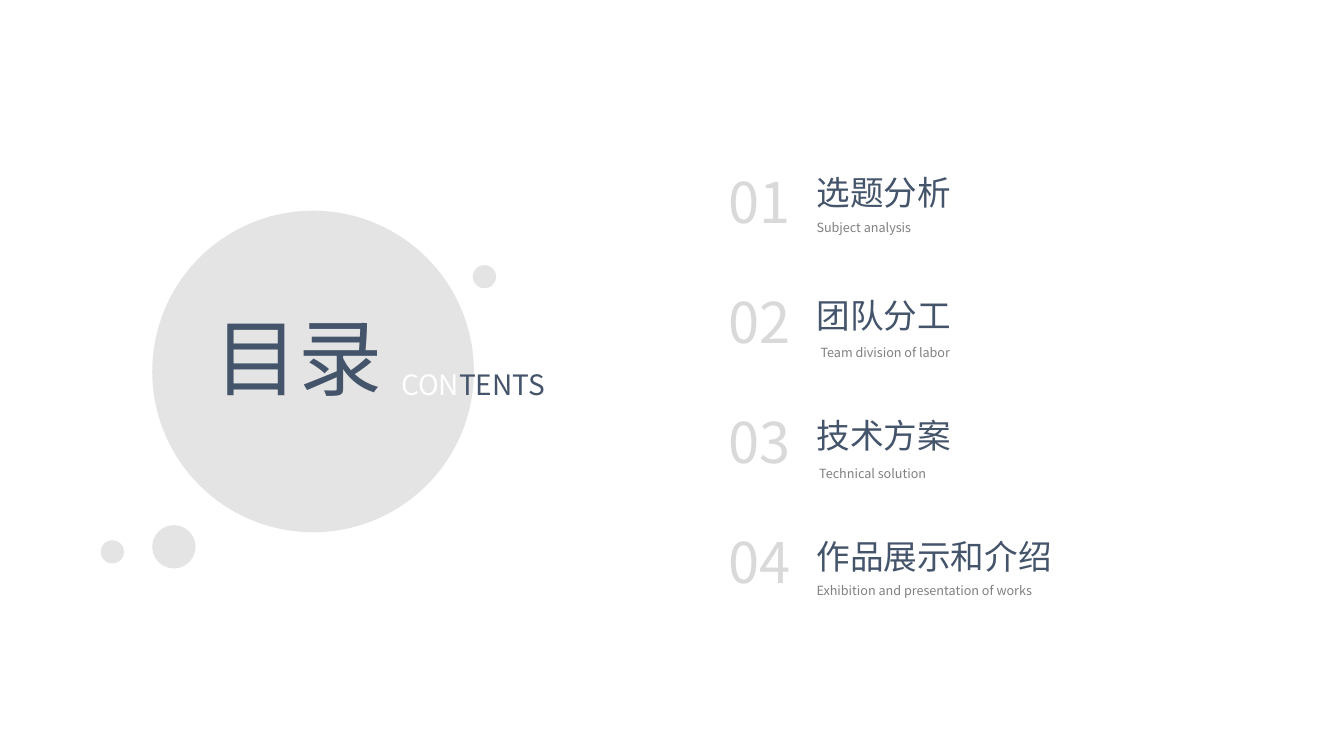
from dataclasses import dataclass

from lxml.etree import SubElement
from pptx import Presentation
from pptx.dml.color import RGBColor
from pptx.enum.shapes import MSO_SHAPE
from pptx.enum.text import MSO_ANCHOR, MSO_AUTO_SIZE, PP_ALIGN
from pptx.oxml.ns import qn
from pptx.shapes.autoshape import Shape
from pptx.slide import Slide
from pptx.util import Inches, Pt

FONT = "Noto Sans CJK SC"
COLORS = {"navy": "44546A", "silver": "D9D9D9", "gray": "808080", "white": "FFFFFF"}
NUMBER_TOP = 1.61
NUMBER_PITCH = 1.19


@dataclass(frozen=True)
class Box:
    left: float
    top: float
    width: float
    height: float


@dataclass(frozen=True)
class Bubble:
    left: float
    top: float
    diameter: float


@dataclass(frozen=True)
class Words:
    text: str
    color: str


@dataclass(frozen=True)
class Chapter:
    heading: str
    heading_box: Box
    caption: str
    caption_box: Box
    caption_align: PP_ALIGN = PP_ALIGN.LEFT
    caption_spacing: float = 1.0


BUBBLES = [
    Bubble(1.51, 2.09, 3.19),
    Bubble(1.51, 5.21, 0.43),
    Bubble(1, 5.36, 0.23),
    Bubble(4.69, 2.63, 0.23),
]

CHAPTERS = [
    Chapter("选题分析", Box(8, 1.66, 1.55, 0.5),
            "Subject analysis", Box(8, 2.13, 1.15, 0.25)),
    Chapter("团队分工", Box(8, 2.88, 1.55, 0.5),
            "Team division of labor", Box(8.01, 3.3, 1.54, 0.3), PP_ALIGN.CENTER, 1.5),
    Chapter("技术方案", Box(8, 4.07, 1.55, 0.5),
            "Technical solution", Box(8.01, 4.5, 1.29, 0.3), PP_ALIGN.CENTER, 1.5),
    Chapter("作品展示和介绍", Box(8, 5.27, 2.56, 0.5),
            "Exhibition and presentation of works", Box(8, 5.73, 2.41, 0.25)),
]


def draw_bubble(slide: Slide, bubble: Bubble) -> None:
    circle = slide.shapes.add_shape(
        MSO_SHAPE.FLOWCHART_CONNECTOR, Inches(bubble.left), Inches(bubble.top),
        Inches(bubble.diameter), Inches(bubble.diameter))
    circle.shadow.inherit = False
    circle.line.fill.background()
    circle.fill.solid()
    circle.fill.fore_color.rgb = RGBColor.from_string(COLORS["silver"])
    tint = circle.element.spPr.find(qn("a:solidFill")).find(qn("a:srgbClr"))
    SubElement(tint, qn("a:alpha"), val="70000")


def write(holder: Shape, words: list[Words], size: float, align: PP_ALIGN,
          wrap: bool = False, spacing: float = 1.0) -> None:
    frame = holder.text_frame
    frame.word_wrap = wrap
    frame.auto_size = MSO_AUTO_SIZE.SHAPE_TO_FIT_TEXT
    frame.vertical_anchor = MSO_ANCHOR.TOP
    paragraph = frame.paragraphs[0]
    paragraph.alignment = align
    paragraph.line_spacing = spacing
    for part in words:
        run = paragraph.add_run()
        run.text = part.text
        run.font.size = Pt(size)
        run.font.name = FONT
        run.font.color.rgb = RGBColor.from_string(COLORS[part.color])
        SubElement(run.font._element, qn("a:ea"), typeface=FONT)


def add_label(slide: Slide, box: Box, words: list[Words], size: float,
              align: PP_ALIGN = PP_ALIGN.LEFT, wrap: bool = False,
              spacing: float = 1.0) -> None:
    label = slide.shapes.add_textbox(
        Inches(box.left), Inches(box.top), Inches(box.width), Inches(box.height))
    write(label, words, size, align, wrap, spacing)


def place_title(slide: Slide, box: Box, text: str) -> None:
    title = slide.shapes.title
    title.left, title.top = Inches(box.left), Inches(box.top)
    title.width, title.height = Inches(box.width), Inches(box.height)
    write(title, [Words(text, "navy")], 60, PP_ALIGN.JUSTIFY, wrap=True)
    title.element.getparent().append(title.element)


def draw_chapter(slide: Slide, index: int, chapter: Chapter) -> None:
    number_box = Box(7.13, NUMBER_TOP + index * NUMBER_PITCH, 0.86, 0.77)
    add_label(slide, number_box, [Words(f"{index + 1:02d}", "silver")], 40)
    add_label(slide, chapter.heading_box, [Words(chapter.heading, "navy")], 24)
    add_label(slide, chapter.caption_box, [Words(chapter.caption, "gray")], 9,
              chapter.caption_align, spacing=chapter.caption_spacing)


def main() -> None:
    presentation = Presentation()
    presentation.slide_width = Inches(13.33)
    presentation.slide_height = Inches(7.5)
    slide = presentation.slides.add_slide(presentation.slide_layouts[5])
    for bubble in BUBBLES:
        draw_bubble(slide, bubble)
    place_title(slide, Box(2.03, 2.98, 1.97, 1.11), "目录")
    add_label(slide, Box(3.88, 3.6, 1.97, 0.44),
              [Words("CON", "white"), Words("TENTS", "navy")], 20,
              PP_ALIGN.JUSTIFY, wrap=True)
    for index, chapter in enumerate(CHAPTERS):
        draw_chapter(slide, index, chapter)
    presentation.save("out.pptx")


if __name__ == "__main__":
    main()
